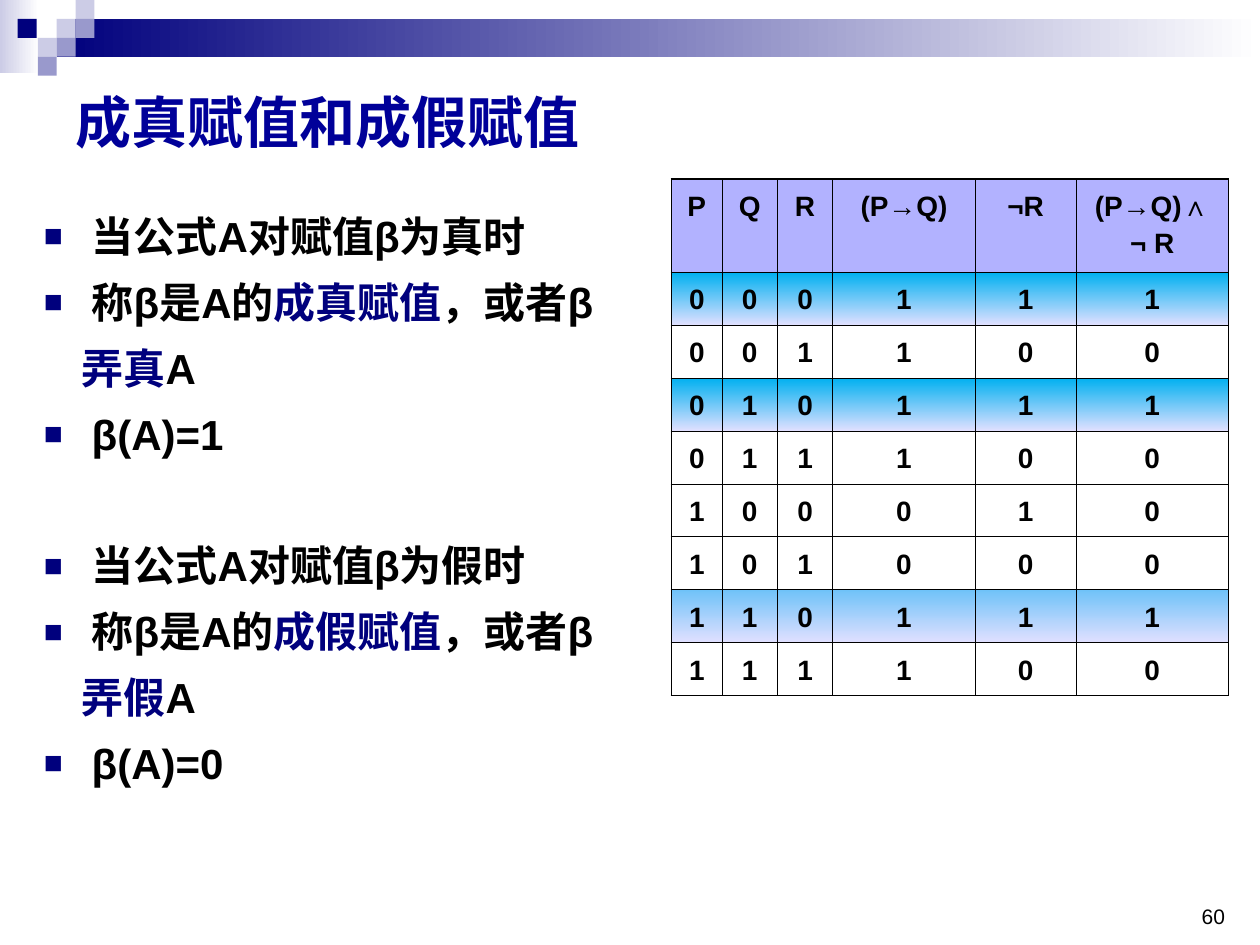
from lxml import etree
from pptx import Presentation
from pptx import util as u
from pptx.dml.color import RGBColor
from pptx.enum import shapes, text
from pptx.oxml.ns import qn

NAVY, TITLE_BLUE, BLACK, WHITE = "00007D", "000099", "000000", "FFFFFF"
PALE, MID, HEADER, LILAC = "CCCCE6", "9999CC", "B2B2FF", "E0E0FF"
CYAN, SKY = "00B0F0", "6FC2F8"
THIN, THICK = 0.45, 1.08


def rgb(value):
    return RGBColor.from_string(value)


def paint(fill, colours, angle=0):
    """One colour gives a solid fill, two a gradient, none no fill."""
    if not colours:
        fill.background()
    elif len(colours) == 1:
        fill.solid()
        fill.fore_color.rgb = rgb(colours[0])
    else:
        fill.gradient()
        fill.gradient_angle = angle
        for stop, colour in zip(fill.gradient_stops, colours):
            stop.color.rgb = rgb(colour)


def write(p, content, size, colour=BLACK, bold=False, font="Arial",
          align=text.PP_ALIGN.LEFT, line=None, before=0):
    """Fill a paragraph from a string or a list of (text, colour) runs."""
    p.alignment = align
    p.space_before = u.Pt(before)
    if line:
        p.line_spacing = line
    runs = [(content, colour)] if isinstance(content, str) else content
    for words, run_colour in runs:
        r = p.add_run()
        r.text = words
        r.font.name, r.font.size, r.font.bold = font, u.Pt(size), bold
        r.font.color.rgb = rgb(run_colour)


def indent(p, left, bullet=None):
    """Set the left margin, with an optional hanging bullet."""
    pPr = p._p.get_or_add_pPr()
    pPr.set("marL", str(u.Inches(left)))
    pPr.set("indent", str(-u.Inches(left) if bullet else 0))
    if bullet:
        colour = etree.SubElement(pPr, qn("a:buClr"))
        etree.SubElement(colour, qn("a:srgbClr"), val=NAVY)
        etree.SubElement(pPr, qn("a:buSzPct"), val="75000")
        etree.SubElement(pPr, qn("a:buFont"), typeface="Arial")
        etree.SubElement(pPr, qn("a:buChar"), char=bullet)


def border(cell, widths):
    """Draw the left, right, top and bottom lines of a cell."""
    tcPr = cell._tc.get_or_add_tcPr()
    for side, width in zip("LRTB", widths):
        ln = etree.SubElement(tcPr, qn(f"a:ln{side}"), w=str(u.Pt(width)))
        solid = etree.SubElement(ln, qn("a:solidFill"))
        etree.SubElement(solid, qn("a:srgbClr"), val=BLACK)


class Deck:
    def __init__(self, width, height):
        self.prs = Presentation()
        self.prs.slide_width, self.prs.slide_height = u.Inches(width), u.Inches(height)
        self.s = self.prs.slides.add_slide(self.prs.slide_layouts[5])

    def rect(self, x, y, w, h, *colours):
        sp = self.s.shapes.add_shape(shapes.MSO_SHAPE.RECTANGLE,
                                     *map(u.Inches, (x, y, w, h)))
        sp.shadow.inherit = False
        sp.line.fill.background()
        paint(sp.fill, colours)

    def title(self, content, x, y, w, h):
        sp = self.s.shapes.title
        sp.left, sp.top, sp.width, sp.height = map(u.Inches, (x, y, w, h))
        self.s.shapes[-1].element.addnext(sp.element)  # above the decoration
        tf = sp.text_frame
        tf.vertical_anchor = text.MSO_ANCHOR.MIDDLE
        write(tf.paragraphs[0], content, 32, TITLE_BLUE, bold=True)

    def box(self, x, y, w, h, anchor=text.MSO_ANCHOR.TOP):
        tf = self.s.shapes.add_textbox(*map(u.Inches, (x, y, w, h))).text_frame
        tf.word_wrap = True
        tf.vertical_anchor = anchor
        return tf

    def bullets(self, groups, x, y, w, h):
        tf = self.box(x, y, w, h)
        for g, group in enumerate(groups):
            for i, (bulleted, runs) in enumerate(group):
                first = g == i == 0
                p = tf.paragraphs[0] if first else tf.add_paragraph()
                indent(p, 0.38 if bulleted else 0.3, "■" if bulleted else None)
                before = 0 if first else 6 if i else 43.7
                write(p, runs, 24, bold=True, line=1.1, before=before)

    def table(self, rows, fills, x, y, widths, heights):
        frame = self.s.shapes.add_table(
            len(rows), len(widths),
            *map(u.Inches, (x, y, sum(widths), sum(heights))))
        tb = frame.table
        tb.first_row = tb.horz_banding = False
        for column, width in zip(tb.columns, widths):
            column.width = u.Inches(width)
        last_r, last_c = len(rows) - 1, len(widths) - 1
        for r, (row, height) in enumerate(zip(rows, heights)):
            tb.rows[r].height = u.Inches(height)
            for c, value in enumerate(row):
                cell = tb.cell(r, c)
                outer = (c == 0, c == last_c, r == 0, r == last_r)
                border(cell, [THICK if edge else THIN for edge in outer])
                paint(cell.fill, fills.get(r), angle=270)
                write(cell.text_frame.paragraphs[0], value, 16, bold=True,
                      align=text.PP_ALIGN.CENTER, line=1.2)


def assignment_notes(kind, value):
    """Definition of a true-making or false-making assignment."""
    return [
        (True, f"当公式A对赋值β为{kind}时"),
        (True, [("称β是A的", BLACK), (f"成{kind}赋值", NAVY), ("，或者β", BLACK)]),
        (False, [(f"弄{kind}", NAVY), ("A", BLACK)]),
        (True, f"β(A)={value}"),
    ]


def truth_rows():
    """Truth table of (P→Q)∧¬R."""
    rows = [["P", "Q", "R", "(P→Q)", "¬R", "(P→Q)∧ ¬ R"]]
    for n in range(8):
        p, q, r = n >> 2, n >> 1 & 1, n & 1
        implies, not_r = int(not p or q), 1 - r
        rows.append([str(v) for v in (p, q, r, implies, not_r, implies & not_r)])
    return rows


def main():
    deck = Deck(10, 7.5)

    # Header band and mosaic of squares
    deck.rect(0, 0, 0.31, 0.58, PALE, WHITE)
    deck.rect(0.45, 0.15, 9.55, 0.3, NAVY, WHITE)
    for x, y, colour in [(0.45, 0.15, PALE), (0.6, 0, PALE), (0.6, 0.15, MID),
                         (0.3, 0.3, PALE), (0.14, 0.15, NAVY),
                         (0.45, 0.3, MID), (0.3, 0.45, MID)]:
        deck.rect(x, y, 0.15, 0.15, colour)

    # Title and definitions
    deck.title("成真赋值和成假赋值", 0.5, 0.5, 9, 0.92)
    deck.bullets([assignment_notes("真", 1), assignment_notes("假", 0)],
                 0.25, 1.58, 9.5, 4.92)

    # Slide number
    number = deck.box(9.42, 7.17, 0.42, 0.25, text.MSO_ANCHOR.BOTTOM)
    write(number.paragraphs[0], "60", 12, align=text.PP_ALIGN.CENTER)

    # Truth table, with the satisfying rows shaded
    fills = {0: [HEADER], 1: [CYAN, LILAC], 3: [CYAN, LILAC], 7: [SKY, LILAC]}
    deck.table(truth_rows(), fills, 5.33, 1.42,
               [0.4, 0.44, 0.44, 1.13, 0.8, 1.21], [0.74] + [0.42] * 8)

    deck.prs.save("out.pptx")


if __name__ == "__main__":
    main()
